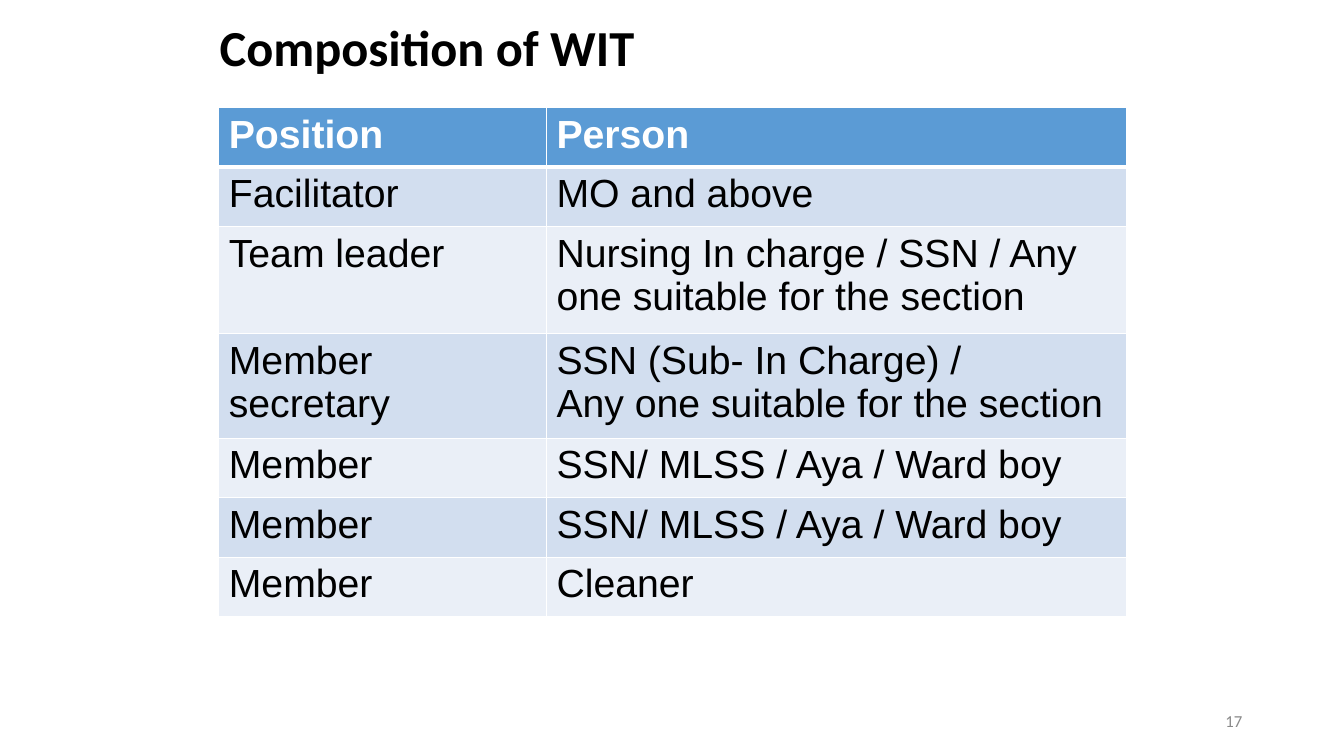
from lxml.etree import SubElement
from pptx import Presentation
from pptx.dml.color import RGBColor
from pptx.enum.text import MSO_ANCHOR as Anchor, PP_ALIGN as Align
from pptx.oxml.ns import qn
from pptx.util import Inches, Pt

COLORS = {
    "text": "000000",
    "number": "898989",
    "white": "FFFFFF",
    "header": "5B9BD5",
    "odd": "D2DEEF",
    "even": "EAEFF7",
}
WIDTH, HEIGHT = Inches(13.33), Inches(7.5)
COLUMNS = (3.25, 5.75)
ONE_LINE = 0.59
ROWS = (
    (ONE_LINE, "Position", "Person"),
    (ONE_LINE, "Facilitator", "MO and above"),
    (1.06, "Team leader",
     "Nursing In charge / SSN / Any one suitable for the section"),
    (1.04, "Member secretary",
     "SSN (Sub- In Charge) /\nAny one suitable for the section"),
    (ONE_LINE, "Member", "SSN/ MLSS / Aya / Ward boy"),
    (ONE_LINE, "Member", "SSN/ MLSS / Aya / Ward boy"),
    (ONE_LINE, "Member", "Cleaner"),
)


def color(name):
    return RGBColor.from_string(COLORS[name])


def style_text(frame, font, size, color_name, bold=False):
    for para in frame.paragraphs:
        for span in para.runs:
            span.font.name = font
            span.font.size = Pt(size)
            span.font.bold = bold
            span.font.color.rgb = color(color_name)


def add_text(page, place, text, size, color_name, bold=False,
             align=Align.LEFT, spacing=1.0):
    box = page.shapes.add_textbox(*map(Inches, place))
    frame = box.text_frame
    frame.word_wrap = True
    frame.vertical_anchor = Anchor.MIDDLE
    frame.text = text
    frame.paragraphs[0].alignment = align
    frame.paragraphs[0].line_spacing = spacing
    style_text(frame, "Calibri", size, color_name, bold)


def set_borders(cell, **widths):
    """Draw white borders; must run before the cell's fill is set."""
    properties = cell._tc.get_or_add_tcPr()
    for side in "LRTB":
        line = SubElement(properties, qn(f"a:ln{side}"),
                          w=str(Pt(widths.get(side, 1))))
        fill = SubElement(line, qn("a:solidFill"))
        SubElement(fill, qn("a:srgbClr"), val=COLORS["white"])


def fill_cell(cell, text, row_index):
    is_header = row_index == 0
    if is_header:
        set_borders(cell, B=3)
    elif row_index == 1:
        set_borders(cell, T=3)
    else:
        set_borders(cell)
    band = "header" if is_header else ("even", "odd")[row_index % 2]
    cell.fill.solid()
    cell.fill.fore_color.rgb = color(band)
    cell.text_frame.text = text
    style_text(cell.text_frame, "Arial", 28,
               "white" if is_header else "text", is_header)


def add_team_table(page):
    height = sum(row[0] for row in ROWS)
    frame = page.shapes.add_table(len(ROWS), len(COLUMNS), Inches(2.17),
                                  Inches(1.07), Inches(sum(COLUMNS)),
                                  Inches(height))
    table = frame.table
    for column, width in zip(table.columns, COLUMNS):
        column.width = Inches(width)
    for row_index, (row_height, *texts) in enumerate(ROWS):
        table.rows[row_index].height = Inches(row_height)
        for column_index, text in enumerate(texts):
            fill_cell(table.cell(row_index, column_index), text, row_index)


def main():
    deck = Presentation()
    deck.slide_width, deck.slide_height = WIDTH, HEIGHT
    page = deck.slides.add_slide(deck.slide_layouts[6])
    add_text(page, (2.08, 0.12, 9, 0.75), "Composition of WIT", 36, "text",
             bold=True, spacing=0.9)
    add_team_table(page)
    add_text(page, (9.42, 6.95, 3, 0.4), "17", 12, "number",
             align=Align.RIGHT)
    deck.save("out.pptx")


if __name__ == "__main__":
    main()
